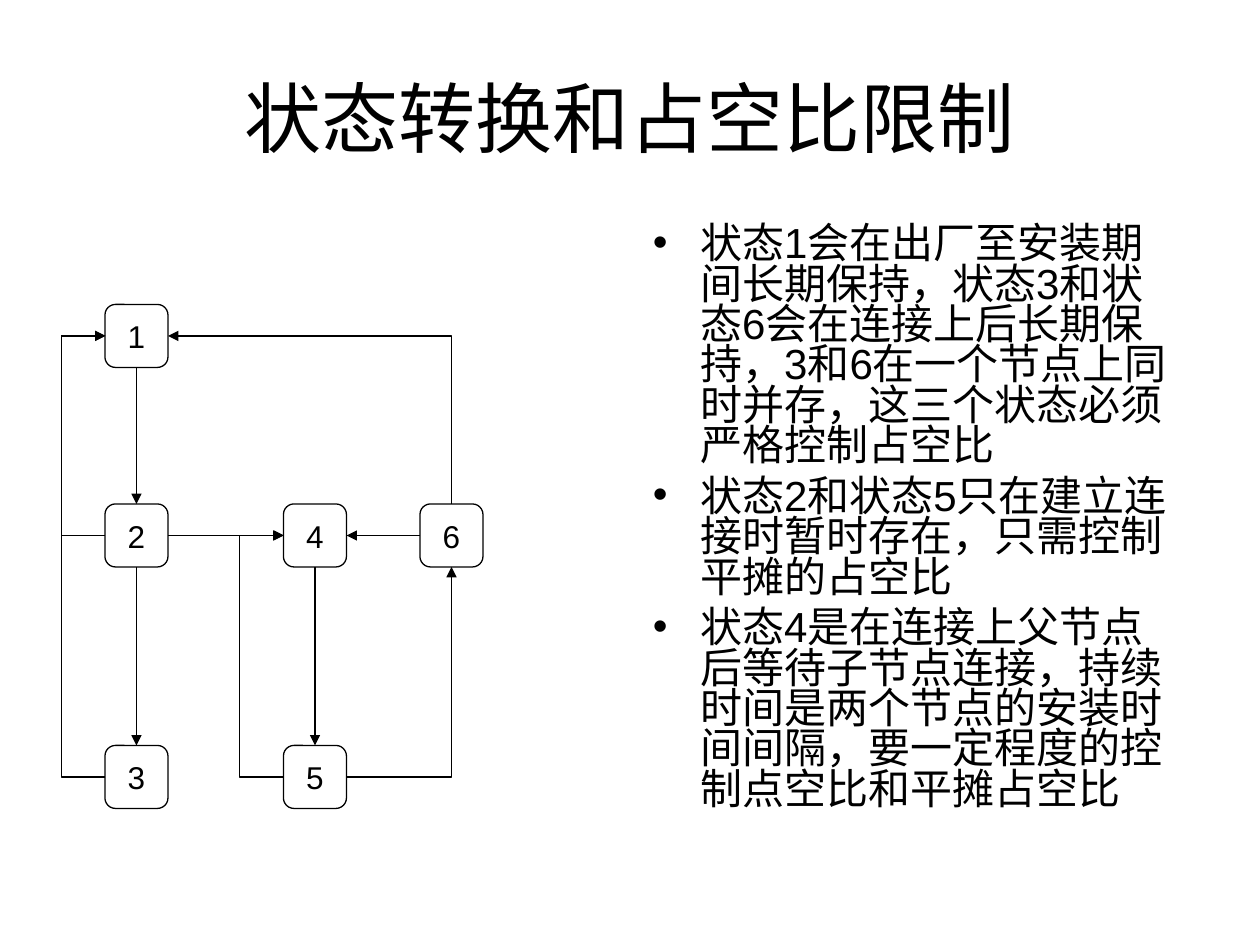
from lxml.etree import SubElement
from pptx import Presentation
from pptx.dml.color import RGBColor
from pptx.enum.shapes import MSO_CONNECTOR, MSO_SHAPE
from pptx.enum.text import MSO_ANCHOR, PP_ALIGN
from pptx.oxml.ns import qn
from pptx.util import Pt

INK = RGBColor.from_string("000000")


def write(para, text, size):
    para.text = text
    look = {"name": "Arial", "size": Pt(size)}
    for key, value in look.items():
        setattr(para.font, key, value)
    para.font.color.rgb = INK


def arrow(kind, x1, y1, x2, y2):
    line = slide.shapes.add_connector(kind, Pt(x1), Pt(y1), Pt(x2), Pt(y2))
    line.line.color.rgb = INK
    line.line.width = Pt(0.75)
    SubElement(line.line._get_or_add_ln(), qn("a:tailEnd"), type="triangle")
    SubElement(line._element.spPr, qn("a:effectLst"))
    return line


deck = Presentation()
deck.slide_width, deck.slide_height = Pt(720), Pt(540)
slide = deck.slides.add_slide(deck.slide_layouts[6])

# State boxes
SIDE = 36
HALF = SIDE / 2
spots = {"1": (60, 174), "2": (60, 288), "3": (60, 426),
         "4": (162, 288), "5": (162, 426), "6": (240, 288)}
boxes = {}
for name, (x, y) in spots.items():
    box = slide.shapes.add_shape(
        MSO_SHAPE.ROUNDED_RECTANGLE, Pt(x), Pt(y), Pt(SIDE), Pt(SIDE))
    box.shadow.inherit = False
    box.fill.background()
    box.line.color.rgb = INK
    box.line.width = Pt(0.75)
    frame = box.text_frame
    frame.word_wrap = False
    frame.vertical_anchor = MSO_ANCHOR.MIDDLE
    frame.paragraphs[0].alignment = PP_ALIGN.CENTER
    write(frame.paragraphs[0], name, 18)
    boxes[name] = box

# Straight transitions, joined at box sides
TOP, LEFT, BOTTOM, RIGHT = range(4)
for start, out, end, into in [("1", BOTTOM, "2", TOP), ("2", BOTTOM, "3", TOP),
                              ("2", RIGHT, "4", LEFT), ("4", BOTTOM, "5", TOP),
                              ("6", LEFT, "4", RIGHT)]:
    line = arrow(MSO_CONNECTOR.STRAIGHT, 0, 0, 0, 0)
    line.begin_connect(boxes[start], out)
    line.end_connect(boxes[end], into)

# Loops that leave and return on the left; the bend is a multiple of the width
THIN, BEND = 0.25, 24.5
for start, end in [("3", "1"), ("5", "4"), ("2", "1")]:
    x, y = spots[start]
    loop = arrow(MSO_CONNECTOR.ELBOW, x, y + HALF, x + THIN, spots[end][1] + HALF)
    guides = loop._element.spPr.find(qn("a:prstGeom")).get_or_add_avLst()
    SubElement(guides, qn("a:gd"), name="adj1",
               fmla=f"val {round(-BEND / THIN * 100000)}")

# Single corners: 5 to 6, and 6 to 1 turned a quarter
(x1, y1), (x5, y5), (x6, y6) = (spots[name] for name in "156")
rise = arrow(MSO_CONNECTOR.ELBOW, x5 + SIDE, y5 + HALF, x6 + HALF, y6 + SIDE)
wide, high = x6 + HALF - x1 - SIDE, y6 - y1 - HALF
midx, midy = x1 + SIDE + wide / 2, y6 - high / 2
back = arrow(MSO_CONNECTOR.ELBOW, midx - high / 2, midy + wide / 2,
             midx + high / 2, midy - wide / 2)
back._element.spPr.find(qn("a:xfrm")).set("rot", str(270 * 60000))
for bend in (rise, back):
    bend._element.spPr.find(qn("a:prstGeom")).set("prst", "bentConnector2")

# Title
title = slide.shapes.add_textbox(Pt(36), Pt(21.6), Pt(648), Pt(90)).text_frame
title.word_wrap = True
title.vertical_anchor = MSO_ANCHOR.MIDDLE
title.paragraphs[0].alignment = PP_ALIGN.CENTER
write(title.paragraphs[0], "状态转换和占空比限制", 44)

# Bulleted notes
points = [
    "状态1会在出厂至安装期间长期保持，状态3和状态6会在连接上后长期保持，3和6在一个节点上同时并存，这三个状态必须严格控制占空比",
    "状态2和状态5只在建立连接时暂时存在，只需控制平摊的占空比",
    "状态4是在连接上父节点后等待子节点连接，持续时间是两个节点的安装时间间隔，要一定程度的控制点空比和平摊占空比",
]
body = slide.shapes.add_textbox(Pt(366), Pt(126), Pt(318), Pt(356.4)).text_frame
body.word_wrap = True
for i, text in enumerate(points):
    para = body.add_paragraph() if i else body.paragraphs[0]
    layout = {"line_spacing": 0.8, "space_before": Pt(6 if i else 0)}
    for key, value in layout.items():
        setattr(para, key, value)
    props = para._p.get_or_add_pPr()
    props.set("marL", str(Pt(27)))
    props.set("indent", str(-Pt(27)))
    SubElement(props, qn("a:buFont"), typeface="Arial")
    SubElement(props, qn("a:buChar"), char="•")
    write(para, text, 24)

deck.save("out.pptx")
